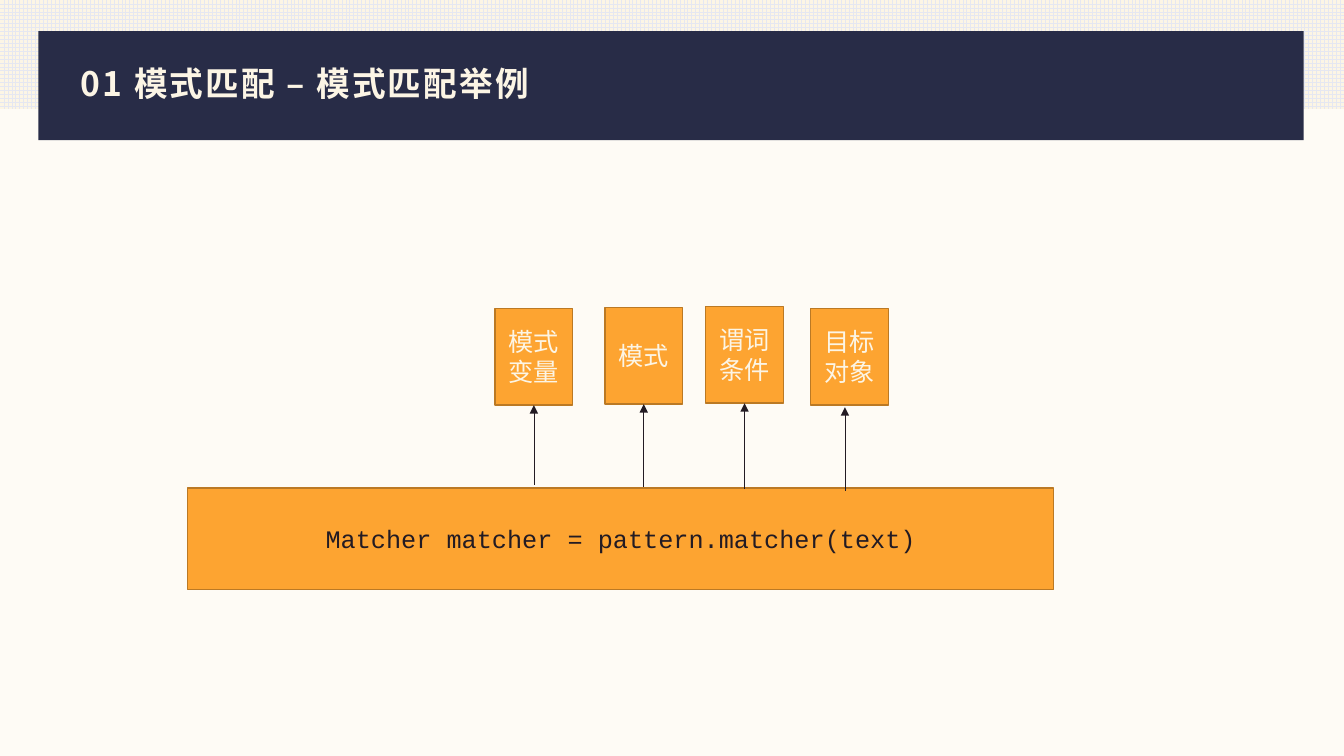
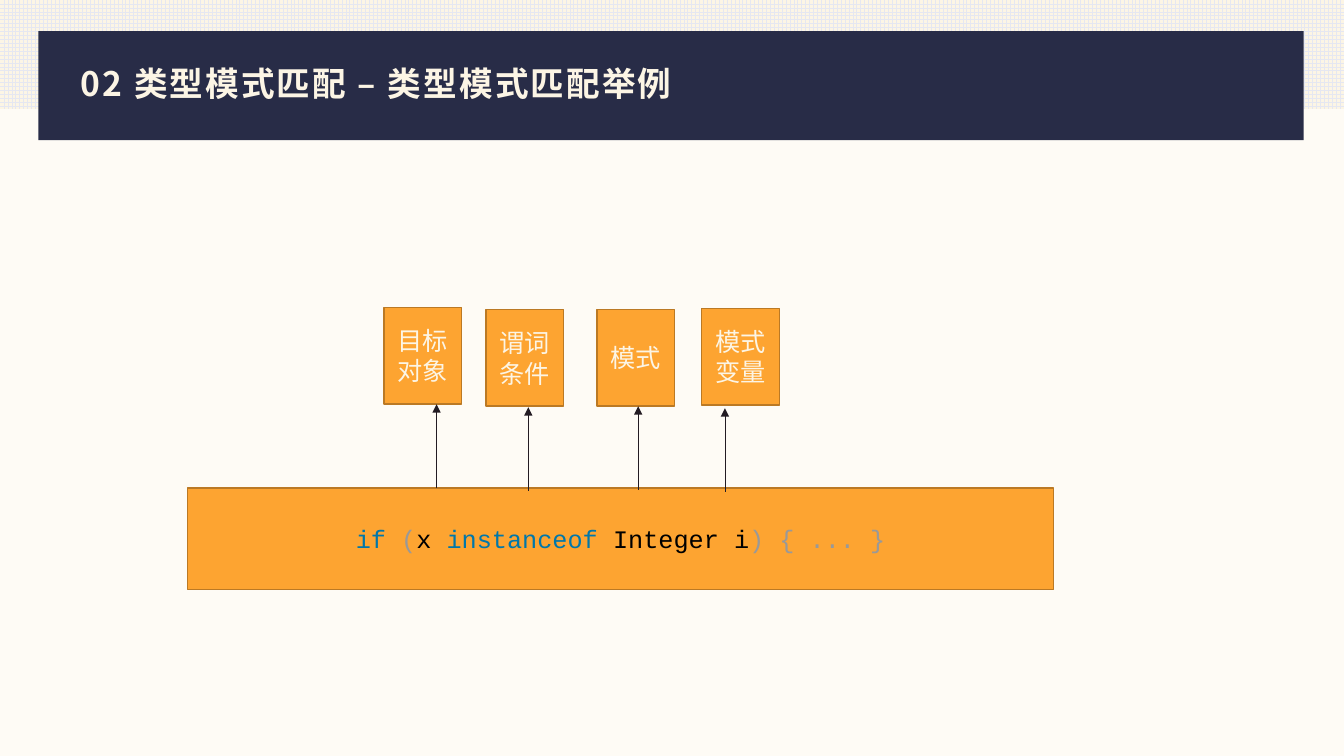
from pptx import Presentation
from pptx.dml.color import RGBColor
from pptx.enum.dml import MSO_PATTERN
from pptx.enum.shapes import MSO_CONNECTOR, MSO_SHAPE
from pptx.enum.text import MSO_ANCHOR, PP_ALIGN
from pptx.oxml.ns import qn
from pptx.util import Inches, Pt
from lxml.etree import SubElement

COLORS = {name: RGBColor.from_string(value) for name, value in {
    "page": "FEFBF5", "cream": "FCF5E5", "grid": "E5E7F1", "navy": "282C47",
    "orange": "FDA431", "edge": "BB7924", "ink": "231B23",
    "keyword": "0077AA", "symbol": "999999", "black": "000000",
}.items()}
TITLE_FONT, LABEL_FONT, CODE_FONT = "Noto Sans CJK SC", "Noto Sans CJK JP", "Courier New"
BOX_WIDTH, BOX_HEIGHT, ARROW_LENGTH = 0.77, 0.96, 0.83

# Each part: label, box left, box top, arrow x (None joins the box middle), arrow start
SLIDES = [
    {
        "title": "01 模式匹配 – 模式匹配举例",
        "code": [("Matcher matcher = pattern.matcher(text)", "ink")],
        "parts": [
            ("模式\n变量", 4.91, 3.06, None, 4.81),
            ("模式", 6, 3.05, None, 4.83),
            ("谓词条件", 7, 3.04, None, 4.85),
            ("目标对象", 8.04, 3.06, 8.38, 4.87),
        ],
    },
    {
        "title": "02 类型模式匹配 – 类型模式匹配举例",
        "code": [("if ", "keyword"), ("(", "symbol"), ("x ", "black"),
                 ("instanceof", "keyword"), (" Integer i", "black"),
                 (") { ... }", "symbol")],
        "parts": [
            ("目标对象", 3.81, 3.05, 4.33, 4.84),
            ("谓词条件", 4.82, 3.07, 5.24, 4.87),
            ("模式", 5.92, 3.07, 6.33, 4.86),
            ("模式\n变量", 6.96, 3.06, 7.19, 4.88),
        ],
    },
]


def add_box(page, left, top, width, height, fill, edge=None):
    box = page.shapes.add_shape(MSO_SHAPE.RECTANGLE, Inches(left), Inches(top),
                                Inches(width), Inches(height))
    box.shadow.inherit = False
    if fill == "grid":
        box.fill.patterned()
        box.fill.pattern = MSO_PATTERN.LARGE_GRID
        box.fill.fore_color.rgb = COLORS["grid"]
        box.fill.back_color.rgb = COLORS["cream"]
    else:
        box.fill.solid()
        box.fill.fore_color.rgb = COLORS[fill]
    if edge:
        box.line.color.rgb = COLORS[edge]
        box.line.width = Pt(1)
    else:
        box.line.fill.background()
    return box


def style_text(frame, font, size, color, align):
    frame.word_wrap = True
    frame.vertical_anchor = MSO_ANCHOR.MIDDLE
    for para in frame.paragraphs:
        para.alignment = align
        para.font.name = font
        para.font.size = Pt(size)
        para.font.color.rgb = COLORS[color]
        defaults = para._p.pPr.find(qn("a:defRPr"))
        SubElement(defaults, qn("a:ea")).set("typeface", font)


deck = Presentation()
deck.slide_width, deck.slide_height = Inches(13.33), Inches(7.5)
background = deck.slide_master.background.fill
background.solid()
background.fore_color.rgb = COLORS["page"]

for content in SLIDES:
    page = deck.slides.add_slide(deck.slide_layouts[6])

    # Bands and title
    add_box(page, 0, 0, 13.33, 1.08, "grid")
    add_box(page, 0.38, 0.31, 12.55, 1.08, "navy")
    title = page.shapes.add_textbox(Inches(0.7), Inches(0.53), Inches(11.93), Inches(0.64))
    title.text_frame.text = content["title"]
    style_text(title.text_frame, TITLE_FONT, 24, "cream", PP_ALIGN.LEFT)
    para = title.text_frame.paragraphs[0]
    para.line_spacing = 0.9
    para.font.bold = True
    para.runs[0].font._element.set("spc", "150")

    # Code bar
    bar = add_box(page, 1.86, 4.84, 8.59, 1.01, "orange", "edge")
    for text, color in content["code"]:
        span = bar.text_frame.paragraphs[0].add_run()
        span.text = text
        span.font.color.rgb = COLORS[color]
    style_text(bar.text_frame, CODE_FONT, 18, "ink", PP_ALIGN.CENTER)

    # Labelled parts with their arrows
    for label, left, top, arrow_x, start in content["parts"]:
        box = add_box(page, left, top, BOX_WIDTH, BOX_HEIGHT, "orange", "edge")
        box.text_frame.text = label
        style_text(box.text_frame, LABEL_FONT, 18, "cream", PP_ALIGN.CENTER)

        x = Inches(arrow_x or left + BOX_WIDTH / 2)
        arrow = page.shapes.add_connector(MSO_CONNECTOR.STRAIGHT, x, Inches(start),
                                          x, Inches(start - ARROW_LENGTH))
        if arrow_x is None:
            arrow.end_connect(box, 2)
        arrow.line.color.rgb = COLORS["ink"]
        arrow.line.width = Pt(0.5)
        SubElement(arrow.line._get_or_add_ln(), qn("a:tailEnd")).set("type", "triangle")
        SubElement(arrow._element.spPr, qn("a:effectLst"))

deck.save("out.pptx")
